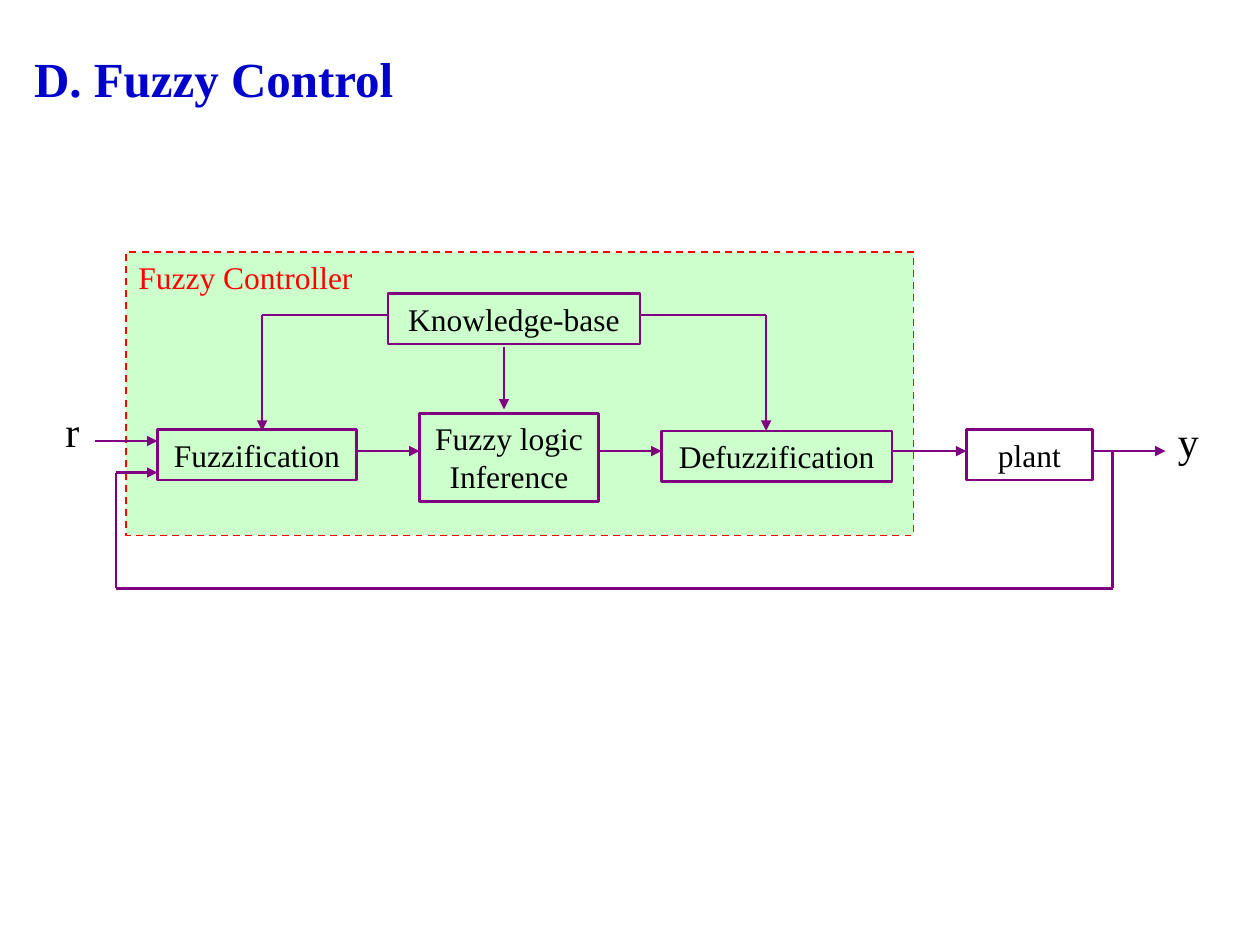
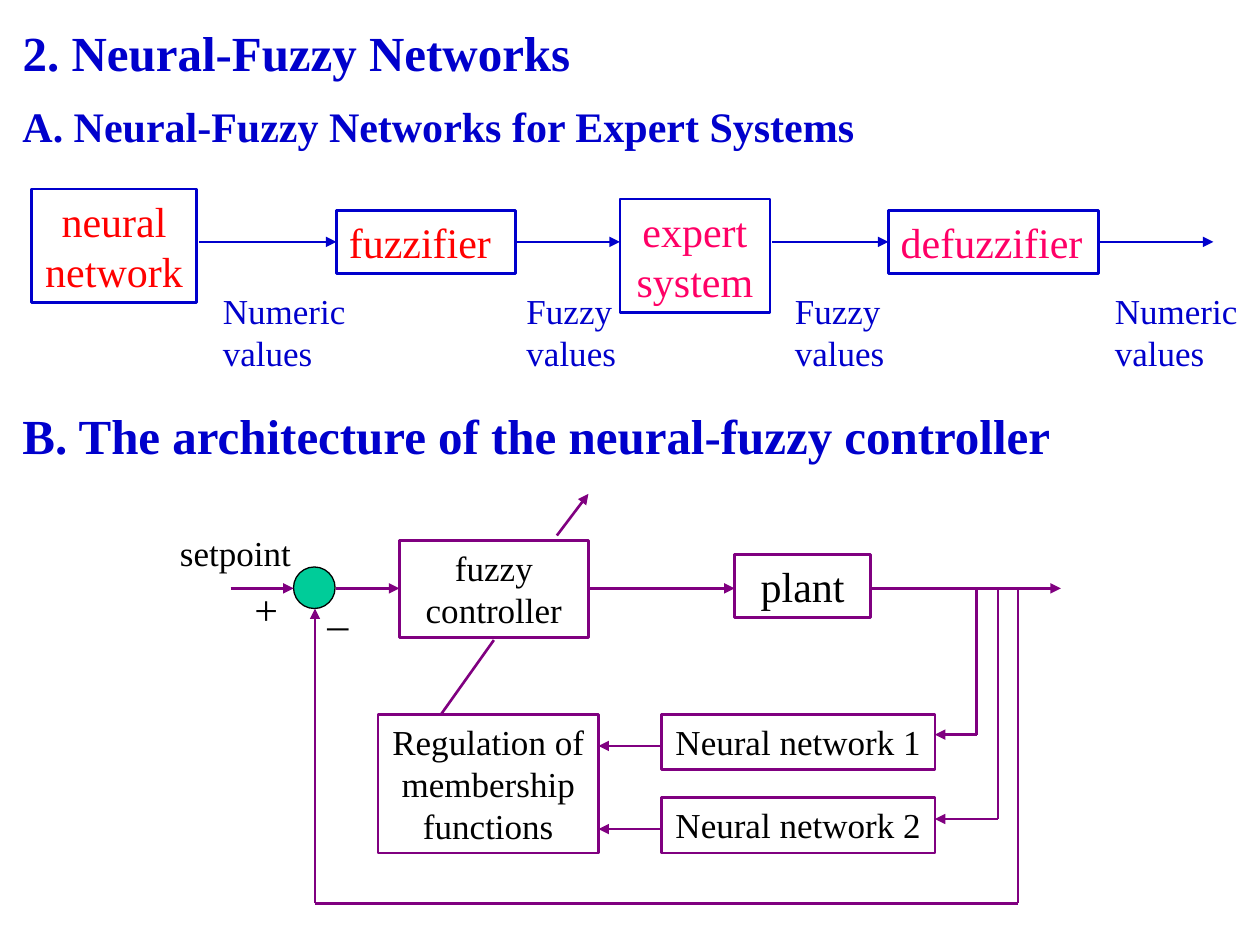
from dataclasses import dataclass

from pptx import Presentation
from pptx import util as u
from pptx.dml import color as dml
from pptx.enum import dml as dml_enum
from pptx.enum import shapes, text
from pptx.oxml import ns
from lxml import etree


@dataclass(frozen=True)
class Theme:
    font: str = "Times New Roman"
    blue: str = "0000CC"
    purple: str = "800080"
    red: str = "FF0000"
    pink: str = "FF0066"
    black: str = "000000"
    white: str = "FFFFFF"
    panel: str = "CCFFCC"
    junction: str = "00CC99"
    heading: float = 28
    large: float = 24
    medium: float = 20
    small: float = 18
    stroke: float = 1.5
    paragraph_gap: float = 0.625  # share of the type size


theme = Theme()
rgb = dml.RGBColor.from_string


def add_box(page, words, place, size, ink=theme.black, border=None, fill=None,
            align=text.PP_ALIGN.LEFT, bold=False, kind=None):
    """Text box, or a preset shape when a border is given; words may be empty."""
    frame_place = [u.Inches(length) for length in place]
    if border:
        box = page.shapes.add_shape(kind or shapes.MSO_SHAPE.RECTANGLE, *frame_place)
        box.shadow.inherit = False
        box.line.color.rgb = rgb(border)
        box.line.width = u.Pt(theme.stroke)
        if fill:
            box.fill.solid()
            box.fill.fore_color.rgb = rgb(fill)
        else:
            box.fill.background()
    else:
        box = page.shapes.add_textbox(*frame_place)
    if words:
        frame = box.text_frame
        frame.text = words
        frame.word_wrap = True
        frame.auto_size = text.MSO_AUTO_SIZE.SHAPE_TO_FIT_TEXT
        frame.vertical_anchor = text.MSO_ANCHOR.TOP
        para = frame.paragraphs[0]
        para.alignment = align
        para.space_before = u.Pt(size * theme.paragraph_gap)
        span = para.runs[0]
        span.font.name = theme.font
        span.font.size = u.Pt(size)
        span.font.bold = bold
        span.font.color.rgb = rgb(ink)
    return box


def add_route(page, *points, ink=theme.purple, arrow=True):
    """Straight lines through the points, with an arrowhead at the last one."""
    for start, end in zip(points, points[1:]):
        line = page.shapes.add_connector(
            shapes.MSO_CONNECTOR.STRAIGHT,
            *[u.Inches(length) for length in (*start, *end)])
        line.line.color.rgb = rgb(ink)
        line.line.width = u.Pt(theme.stroke)
        etree.SubElement(line._element.spPr, ns.qn("a:effectLst"))
    if arrow:
        head = etree.SubElement(line.line._get_or_add_ln(), ns.qn("a:tailEnd"))
        head.set("type", "triangle")


deck = Presentation()
deck.slide_width, deck.slide_height = u.Inches(10), u.Inches(7.5)

# Pages and titles
pages = []
for heading, place in [
    ("D. Fuzzy Control", (0.17, 0.33, 3.25, 0.58)),
    ("2. Neural-Fuzzy Networks", (0.08, 0.08, 5.33, 0.67)),
]:
    page = deck.slides.add_slide(deck.slide_layouts[5])
    title = page.shapes.title
    title.left, title.top, title.width, title.height = [u.Inches(n) for n in place]
    title.text_frame.text = heading
    title.text_frame.word_wrap = True
    title.text_frame.auto_size = text.MSO_AUTO_SIZE.NONE
    title.text_frame.vertical_anchor = text.MSO_ANCHOR.MIDDLE
    para = title.text_frame.paragraphs[0]
    para.alignment = text.PP_ALIGN.LEFT
    span = para.runs[0]
    span.font.name = theme.font
    span.font.size = u.Pt(theme.heading)
    span.font.bold = True
    span.font.color.rgb = rgb(theme.blue)
    pages.append(page)
control_page, network_page = pages
center = text.PP_ALIGN.CENTER

# Fuzzy control: dashed controller panel
panel = add_box(control_page, "", (1, 2, 6.25, 2.25), theme.small,
                border=theme.red, fill=theme.panel)
panel.line.width = u.Pt(1)
panel.line.dash_style = dml_enum.MSO_LINE.DASH

# Fuzzy control: blocks
for words, *place in [
    ("Knowledge-base", 3.08, 2.33, 2, 0.4),
    ("Fuzzy logic Inference", 3.33, 3.28, 1.42, 0.7),
    ("Fuzzification", 1.25, 3.41, 1.58, 0.4),
    ("Defuzzification", 5.25, 3.42, 1.83, 0.4),
    ("plant", 7.67, 3.41, 1, 0.4),
]:
    add_box(control_page, words, place, theme.small, border=theme.purple, align=center)

# Fuzzy control: signal flow, rules from the knowledge base, input and feedback
flow_y = 3.58
for start_x, end_x in [(2.83, 3.33), (4.75, 5.25), (7.08, 7.67), (8.67, 9.25)]:
    add_route(control_page, (start_x, flow_y), (end_x, flow_y))
for start_x, end_x in [(5.08, 6.08), (3.08, 2.08)]:
    add_route(control_page, (start_x, 2.5), (end_x, 2.5), (end_x, 3.42))
add_route(control_page, (4, 2.75), (4, 3.25))
add_route(control_page, (0.75, 3.5), (1.25, 3.5))
add_route(control_page, (8.83, flow_y), (8.83, 4.67), (0.92, 4.67),
          (0.92, 3.75), (1.25, 3.75))

# Fuzzy control: labels
add_box(control_page, "Fuzzy Controller", (1, 2, 1.92, 0.4), theme.small, theme.red)
add_box(control_page, "r", (0.42, 3.17, 0.42, 0.5), theme.large)
add_box(control_page, "y", (9.25, 3.25, 0.42, 0.5), theme.large)

# Controller architecture: blocks
for words, size, *place in [
    ("fuzzy controller", theme.medium, 3.17, 4.29, 1.5, 0.77),
    ("Regulation of membership functions", theme.medium, 3, 5.67, 1.75, 1.1),
    ("Neural network 1", theme.medium, 5.25, 5.67, 2.17, 0.44),
    ("Neural network 2", theme.medium, 5.25, 6.33, 2.17, 0.44),
    ("plant", theme.large, 5.83, 4.4, 1.08, 0.5),
]:
    add_box(network_page, words, place, size, border=theme.purple, align=center)
junction = add_box(network_page, "", (2.33, 4.5, 0.33, 0.33), theme.medium,
                   border=theme.black, fill=theme.junction, kind=shapes.MSO_SHAPE.OVAL)
junction.line.width = u.Pt(0.75)

# Controller architecture: main loop, network inputs and outputs, tuning line
loop_y = 4.67
for start_x, end_x in [(1.83, 2.33), (2.67, 3.17), (4.67, 5.83), (6.92, 8.42)]:
    add_route(network_page, (start_x, loop_y), (end_x, loop_y))
for tap_x, input_y, output_y in [(7.75, 5.83, 5.92), (7.92, 6.5, 6.58)]:
    add_route(network_page, (tap_x, loop_y), (tap_x, input_y), (7.42, input_y))
    add_route(network_page, (5.25, output_y), (4.75, output_y))
add_route(network_page, (8.08, loop_y), (8.08, 7.17), (2.5, 7.17), (2.5, 4.83))
add_route(network_page, (4.42, 4.25), (4.67, 3.92))
add_route(network_page, (3.92, 5.08), (3.5, 5.67), arrow=False)

# Controller architecture: labels
add_box(network_page, "setpoint", (1.33, 4.17, 1.08, 0.44), theme.medium)
for sign, left in [("+", 1.92), ("_", 2.5)]:
    add_box(network_page, sign, (left, 4.58, 0.42, 0.5), theme.large)

# Expert system chain: blocks
for words, ink, align, *place in [
    ("neural network", theme.red, center, 0.25, 1.5, 1.31, 0.9),
    ("fuzzifier", theme.red, text.PP_ALIGN.LEFT, 2.67, 1.67, 1.42, 0.5),
    ("expert system", theme.pink, center, 4.92, 1.58, 1.19, 0.9),
    ("defuzzifier", theme.pink, text.PP_ALIGN.LEFT, 7.05, 1.67, 1.67, 0.5),
]:
    add_box(network_page, words, place, theme.large, ink, border=theme.blue,
            fill=theme.white, align=align)

# Expert system chain: arrows with the values they carry
for words, left, width, start_x, end_x in [
    ("Numeric values", 1.67, 1.25, 1.58, 2.67),
    ("Fuzzy values", 4.08, 0.92, 4.08, 4.92),
    ("Fuzzy values", 6.21, 0.92, 6.13, 7.05),
    ("Numeric values", 8.75, 1.25, 8.71, 9.63),
]:
    add_box(network_page, words, (left, 2.25, width, 0.77), theme.medium, theme.blue)
    add_route(network_page, (start_x, 1.92), (end_x, 1.92), ink=theme.blue)

# Section headings
for words, size, *place in [
    ("A. Neural-Fuzzy Networks for Expert Systems", theme.large, 0.08, 0.75, 7, 0.5),
    ("B. The architecture of the neural-fuzzy controller", theme.heading,
     0.08, 3.17, 9.67, 0.57),
]:
    add_box(network_page, words, place, size, theme.blue, bold=True)

deck.save("out.pptx")
